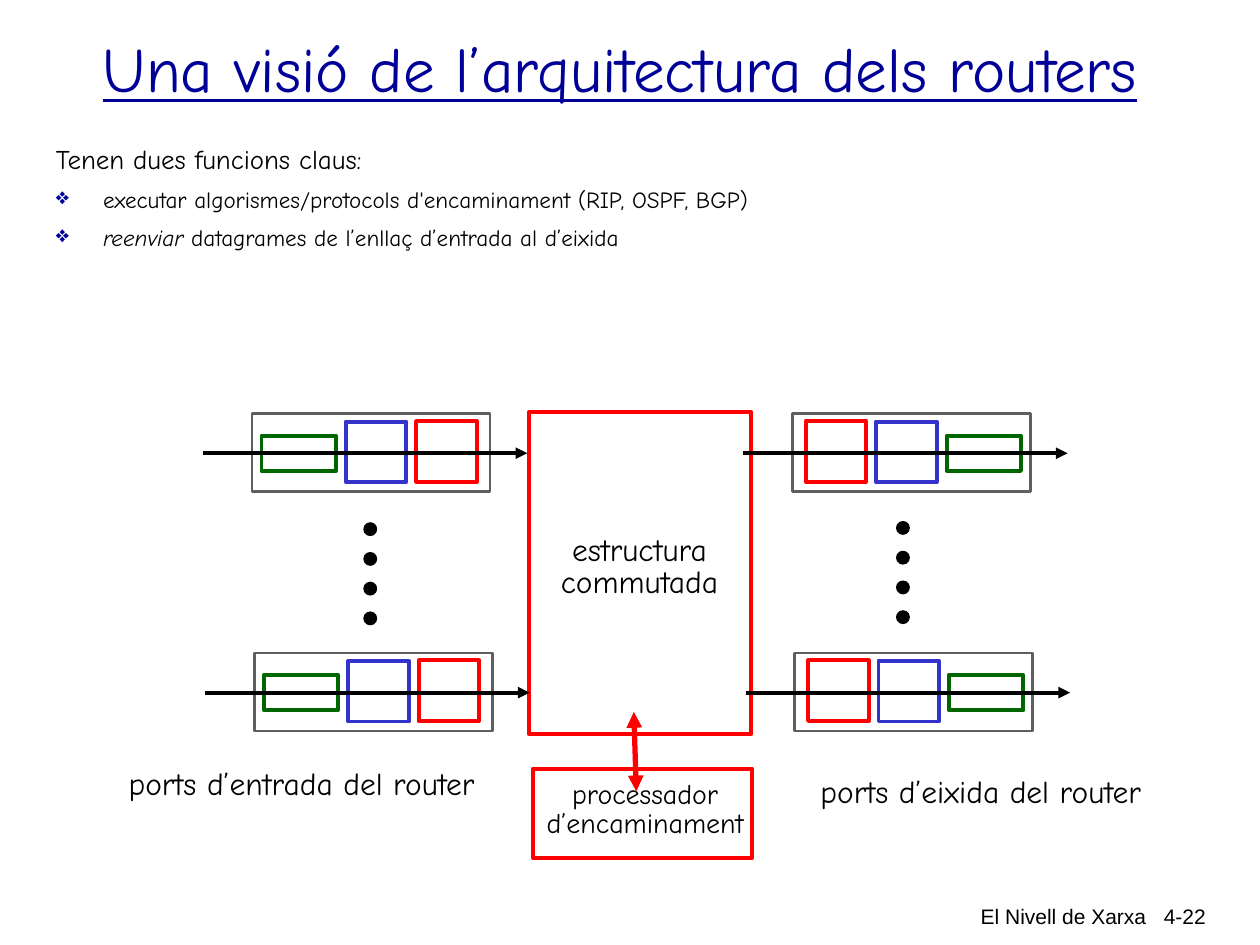
from lxml.etree import SubElement
from pptx import Presentation
from pptx.dml.color import RGBColor
from pptx.enum.shapes import MSO_CONNECTOR, MSO_SHAPE
from pptx.enum.text import MSO_ANCHOR, MSO_AUTO_SIZE, PP_ALIGN
from pptx.oxml.ns import qn
from pptx.util import Pt

BLACK, WHITE, RED = "000000", "FFFFFF", "FF0000"
NAVY, BLUE, GREEN, GRAY = "000099", "3333CC", "006600", "5F5F5F"
COMIC = "Comic Neue"


def color(hex_value):
    return RGBColor.from_string(hex_value)


class SlideBuilder:
    def __init__(self, slide, font=COMIC):
        self.slide = slide
        self.font = font

    def run(self, paragraph, text, size, ink=BLACK, font=None, italic=None):
        run = paragraph.add_run()
        run.text = text
        run.font.size = Pt(size)
        run.font.name = font or self.font
        run.font.color.rgb = color(ink)
        run.font.italic = italic
        return run

    def title(self, text, left, top, width, height):
        title = self.slide.shapes.title
        title.left, title.top = Pt(left), Pt(top)
        title.width, title.height = Pt(width), Pt(height)
        frame = title.text_frame
        frame.auto_size = MSO_AUTO_SIZE.NONE
        frame.vertical_anchor = MSO_ANCHOR.MIDDLE
        frame.paragraphs[0].alignment = PP_ALIGN.CENTER
        self.run(frame.paragraphs[0], text, 36, NAVY).font.underline = True

    def frame(self, left, top, width, height, wrap=True):
        box = self.slide.shapes.add_textbox(Pt(left), Pt(top), Pt(width), Pt(height))
        box.text_frame.word_wrap = wrap
        return box.text_frame

    def label(self, lines, left, top, width, height, size=18, font=None,
              align=PP_ALIGN.LEFT, spacing=None):
        frame = self.frame(left, top, width, height, wrap=False)
        frame.auto_size = MSO_AUTO_SIZE.SHAPE_TO_FIT_TEXT
        for index, line in enumerate(lines):
            paragraph = frame.add_paragraph() if index else frame.paragraphs[0]
            paragraph.alignment = align
            paragraph.line_spacing = spacing
            self.run(paragraph, line, size, font=font)

    def footer(self, text, left, width):
        frame = self.frame(left, 512.6, width, 27.4)
        frame.paragraphs[0].alignment = PP_ALIGN.RIGHT
        self.run(frame.paragraphs[0], text, 12, font="Arial")

    def bullet(self, frame, pieces, size):
        paragraph = frame.add_paragraph()
        paragraph.space_before = Pt(6)
        props = paragraph._p.get_or_add_pPr()
        props.set("marL", str(Pt(27)))
        props.set("indent", str(-Pt(27)))
        SubElement(SubElement(props, qn("a:buClr")), qn("a:srgbClr"), val=NAVY)
        SubElement(props, qn("a:buSzPct"), val="100000")
        SubElement(props, qn("a:buChar"), char="❖")
        for text, italic in pieces:
            self.run(paragraph, text, size, italic=italic)

    def shape(self, left, top, width, height, line, weight=2.25, fill=WHITE,
              kind=MSO_SHAPE.RECTANGLE):
        shape = self.slide.shapes.add_shape(
            kind, Pt(left), Pt(top), Pt(width), Pt(height))
        shape.shadow.inherit = False
        shape.fill.solid()
        shape.fill.fore_color.rgb = color(fill)
        shape.line.color.rgb = color(line)
        shape.line.width = Pt(weight)

    def arrow(self, x1, y1, x2, y2, ink=BLACK, weight=2.25, both_ends=False):
        arrow = self.slide.shapes.add_connector(
            MSO_CONNECTOR.STRAIGHT, Pt(x1), Pt(y1), Pt(x2), Pt(y2))
        arrow.line.color.rgb = color(ink)
        arrow.line.width = Pt(weight)
        line = arrow.line._get_or_add_ln()
        if both_ends:
            SubElement(line, qn("a:headEnd"), type="triangle")
        SubElement(line, qn("a:tailEnd"), type="triangle")
        SubElement(arrow._element.spPr, qn("a:effectLst"))

    def port(self, left, top, mirrored):
        width = 136
        self.shape(left, top, width, 44.6, GRAY, 1.5)
        stages = [(5.4, 12.5, 42.5, 20.2, GREEN),
                  (53.6, 4.5, 34.6, 34.6, BLUE),
                  (93.8, 4.2, 34.6, 34.6, RED)]
        for offset, drop, stage_width, height, line in stages:
            if mirrored:
                offset = width - offset - stage_width
            self.shape(left + offset, top + drop, stage_width, height, line)
        self.arrow(left - 28, top + 22.6, left + 157.3, top + 22.6)

    def dots(self, left, top, count=4, step=17):
        for index in range(count):
            self.shape(left, top + index * step, 7.2, 7.2, BLACK, 0.75,
                       BLACK, MSO_SHAPE.OVAL)


def main():
    deck = Presentation()
    deck.slide_width, deck.slide_height = Pt(720), Pt(540)
    page = SlideBuilder(deck.slides.add_slide(deck.slide_layouts[5]))

    # Title and key functions
    page.title("Una visió de l’arquitectura dels routers", 19.4, 14.4, 669.6, 48.2)
    functions = page.frame(24.8, 77.8, 679, 72)
    page.run(functions.paragraphs[0], "Tenen dues funcions claus:", 15.4)
    page.bullet(functions, [
        ("executar algorismes/protocols d'encaminament (RIP, OSPF, BGP)", None)], 13.2)
    page.bullet(functions, [
        ("reenviar ", True),
        ("datagrames de l’enllaç d’entrada al d’eixida", None)], 13.2)

    # Switching fabric and routing processor
    page.shape(302.4, 235.4, 126.7, 184.3, RED)
    page.label(["estructura", "commutada"], 313.2, 302.4, 104.4, 43.9,
               align=PP_ALIGN.CENTER, spacing=0.85)
    page.shape(304.6, 439.2, 125.3, 51.1, RED)
    page.label(["processador", "d’encaminament"], 302.6, 443.2, 132, 40.3,
               size=16, align=PP_ALIGN.CENTER, spacing=0.85)
    page.arrow(362.2, 406.8, 363.6, 452.2, RED, 3, both_ends=True)

    # Input and output ports
    for left, mirrored, dots_left, dots_top in [(144, False, 208, 298.8),
                                                (452.8, True, 512.4, 298.1)]:
        page.port(left, 236.4, mirrored)
        page.port(left + 1.4, 373.2, mirrored)
        page.dots(dots_left, dots_top)
    page.label(["ports d’entrada del router"], 66.4, 433, 213.1, 28.8)
    page.label(["ports d’eixida del router"], 461.7, 437.4, 198, 28.8)

    # Footer
    page.footer("El Nivell de Xarxa", 434, 228.2)
    page.footer("4-22", 642.8, 53.3)

    deck.save("out.pptx")


if __name__ == "__main__":
    main()
